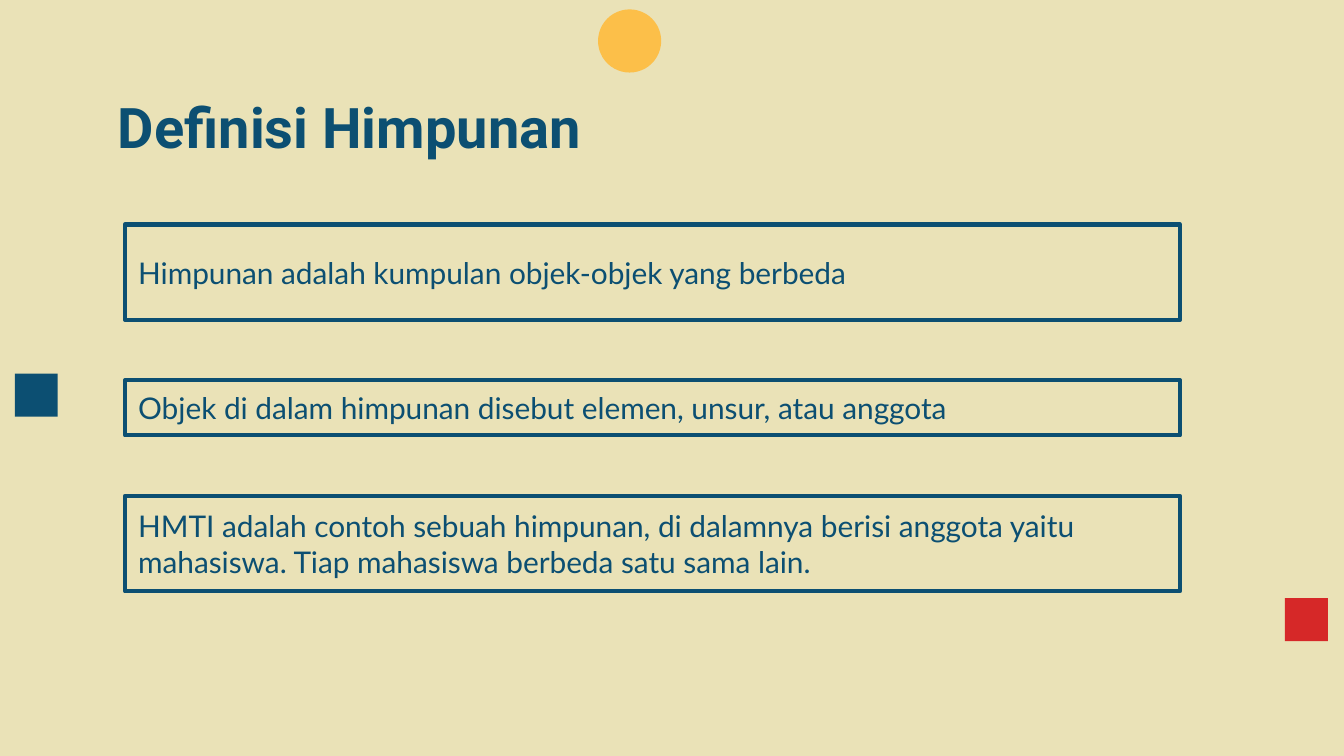
from pptx import Presentation
from pptx.dml.color import RGBColor
from pptx.enum.shapes import MSO_SHAPE
from pptx.enum.text import MSO_ANCHOR, PP_ALIGN
from pptx.util import Inches, Pt

CREAM = RGBColor(0xEA, 0xE2, 0xB7)
NAVY = RGBColor(0x0C, 0x4F, 0x72)
RED = RGBColor(0xD6, 0x28, 0x28)
AMBER = RGBColor(0xFC, 0xBF, 0x49)

# Top, height and wording of each statement
STATEMENTS = [
    (1.67, 0.71, "Himpunan adalah kumpulan objek-objek yang berbeda"),
    (2.83, 0.41, "Objek di dalam himpunan disebut elemen, unsur, atau anggota"),
    (3.69, 0.71, "HMTI adalah contoh sebuah himpunan, di dalamnya berisi anggota "
                 "yaitu mahasiswa. Tiap mahasiswa berbeda satu sama lain."),
]


def write_text(box, text, font, size, anchor, bold=False):
    frame = box.text_frame
    frame.word_wrap = True
    frame.vertical_anchor = anchor
    frame.margin_left = frame.margin_right = Inches(0.1)
    frame.margin_top = frame.margin_bottom = Inches(0.1)
    para = frame.paragraphs[0]
    para.alignment = PP_ALIGN.LEFT
    span = para.add_run()
    span.text = text
    span.font.name = font
    span.font.size = Pt(size)
    span.font.bold = bold
    span.font.color.rgb = NAVY


def add_ornament(page, kind, left, top, size, color):
    shape = page.shapes.add_shape(
        kind, Inches(left), Inches(top), Inches(size), Inches(size))
    shape.shadow.inherit = False
    shape.fill.solid()
    shape.fill.fore_color.rgb = color
    shape.line.fill.background()


def add_title(page, text):
    box = page.shapes.add_textbox(
        Inches(0.78), Inches(0.59), Inches(8.44), Inches(0.63))
    write_text(box, text, "Roboto", 30, MSO_ANCHOR.TOP, bold=True)


def add_statement(page, top, height, text):
    box = page.shapes.add_shape(
        MSO_SHAPE.RECTANGLE,
        Inches(0.93), Inches(top), Inches(7.85), Inches(height))
    box.shadow.inherit = False
    box.fill.background()
    box.line.color.rgb = NAVY
    box.line.width = Pt(2.25)
    write_text(box, text, "Lato", 16, MSO_ANCHOR.MIDDLE)


def main():
    # Widescreen page, 16:9
    deck = Presentation()
    deck.slide_width = Inches(10)
    deck.slide_height = Inches(10 * 9 / 16)
    page = deck.slides.add_slide(deck.slide_layouts[6])
    page.background.fill.solid()
    page.background.fill.fore_color.rgb = CREAM

    # Ornaments around the edges
    add_ornament(page, MSO_SHAPE.RECTANGLE, 9.56, 4.45, 0.32, RED)
    add_ornament(page, MSO_SHAPE.OVAL, 4.45, 0.07, 0.47, AMBER)
    add_ornament(page, MSO_SHAPE.RECTANGLE, 0.11, 2.78, 0.32, NAVY)

    # Title and framed statements
    add_title(page, "Definisi Himpunan")
    for top, height, text in STATEMENTS:
        add_statement(page, top, height, text)

    deck.save("out.pptx")


if __name__ == "__main__":
    main()
